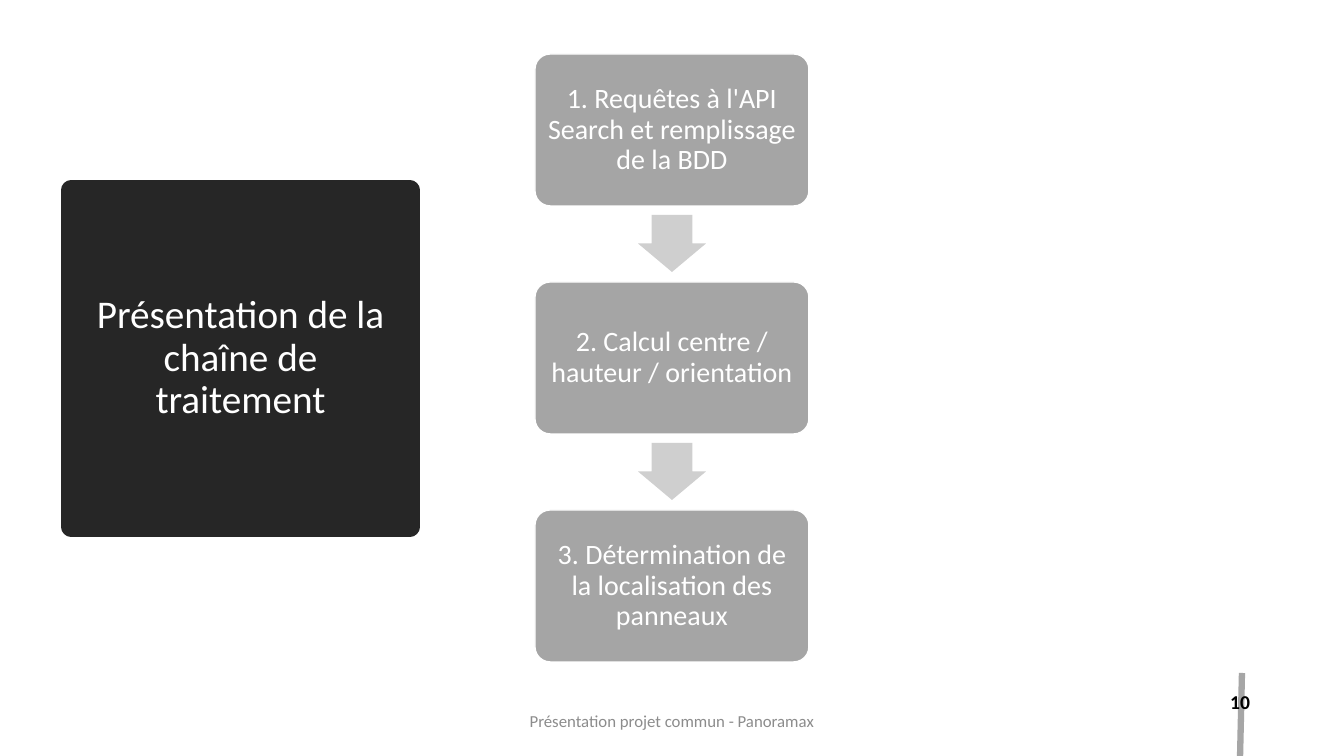
from dataclasses import dataclass

from lxml import etree
from pptx import Presentation
from pptx.dml.color import RGBColor
from pptx.enum.shapes import MSO_CONNECTOR, MSO_SHAPE
from pptx.enum.text import MSO_ANCHOR, MSO_AUTO_SIZE, PP_ALIGN
from pptx.oxml.ns import qn
from pptx.util import Emu, Pt

ROUNDED, DOWN_ARROW = MSO_SHAPE.ROUNDED_RECTANGLE, MSO_SHAPE.DOWN_ARROW
STRAIGHT = MSO_CONNECTOR.STRAIGHT
MIDDLE = MSO_ANCHOR.MIDDLE
NO_AUTOFIT = MSO_AUTO_SIZE.NONE
CENTER, RIGHT = PP_ALIGN.CENTER, PP_ALIGN.RIGHT

SLIDE_WIDTH, SLIDE_HEIGHT = 1344, 756
EMU_PER_PX = 12192000 / SLIDE_WIDTH
FONT = "Calibri"
WHITE, BLACK = "FFFFFF", "000000"
DARK, STEP_GREY, ARROW_GREY = "262626", "A5A5A5", "CFCFCF"
FOOTER_GREY, RULE_GREY = "8C8C8C", "A6A6A6"

STEPS = [
    "1. Requêtes à l'API Search et remplissage de la BDD",
    "2. Calcul centre / hauteur / orientation",
    "3. Détermination de la localisation des panneaux",
]
STEP_PITCH = 228


@dataclass(frozen=True)
class Box:
    left: int
    top: int
    width: int
    height: int

    def moved_down(self, distance: int) -> "Box":
        return Box(self.left, self.top + distance, self.width, self.height)

    def emu(self) -> tuple[Emu, Emu, Emu, Emu]:
        return px(self.left), px(self.top), px(self.width), px(self.height)


@dataclass(frozen=True)
class TextStyle:
    size: int
    color: str
    alignment: PP_ALIGN = CENTER
    bold: bool = False
    line_spacing: float = 1.0
    margin: int = 10


@dataclass(frozen=True)
class Label:
    text: str
    box: Box
    style: TextStyle


TITLE_BOX = Box(71, 190, 339, 337)
TITLE_STYLE = TextStyle(28, WHITE, line_spacing=0.9)
STEP_BOX = Box(535, 54, 274, 152)
STEP_STYLE = TextStyle(20, WHITE, line_spacing=0.9, margin=6)
ARROW_BOX = Box(638, 215, 68, 57)
LABELS = [
    Label("Présentation projet commun - Panoramax", Box(445, 701, 454, 40),
          TextStyle(12, FOOTER_GREY)),
    Label("10", Box(1076, 682, 184, 40), TextStyle(14, BLACK, RIGHT, bold=True)),
]


def px(length: int) -> Emu:
    return Emu(round(length * EMU_PER_PX))


def rgb(color: str) -> RGBColor:
    return RGBColor.from_string(color)


def paint(shape, fill: str, line: str | None = None, line_width: float = 1) -> None:
    shape.fill.solid()
    shape.fill.fore_color.rgb = rgb(fill)
    if line is None:
        shape.line.fill.background()
    else:
        shape.line.color.rgb = rgb(line)
        shape.line.width = Pt(line_width)


def write(shape, text: str, style: TextStyle) -> None:
    frame = shape.text_frame
    frame.text = text
    frame.word_wrap = True
    frame.auto_size = NO_AUTOFIT
    frame.vertical_anchor = MIDDLE
    frame.margin_left = frame.margin_right = px(style.margin)
    frame.margin_top = frame.margin_bottom = px(5)
    paragraph = frame.paragraphs[0]
    paragraph.alignment = style.alignment
    paragraph.line_spacing = style.line_spacing
    font = paragraph.font
    font.name, font.size, font.bold = FONT, Pt(style.size), style.bold
    font.color.rgb = rgb(style.color)


def add_title(slide, text: str) -> None:
    title = slide.shapes.title
    title.left, title.top, title.width, title.height = TITLE_BOX.emu()
    paint(title, DARK, DARK, 13.75)
    write(title, text, TITLE_STYLE)


def add_step(slide, text: str, box: Box) -> None:
    step = slide.shapes.add_shape(ROUNDED, *box.emu())
    step.shadow.inherit = False
    step.adjustments[0] = 0.1
    paint(step, STEP_GREY, WHITE)
    write(step, text, STEP_STYLE)


def add_arrow(slide, box: Box) -> None:
    arrow = slide.shapes.add_shape(DOWN_ARROW, *box.emu())
    arrow.shadow.inherit = False
    arrow.adjustments[0], arrow.adjustments[1] = 0.6, 0.5
    paint(arrow, ARROW_GREY)


def add_page_rule(slide) -> None:
    rule = slide.shapes.add_connector(STRAIGHT, px(1242), px(673), px(1240), px(759))
    rule.line.color.rgb = rgb(RULE_GREY)
    rule.line.width = Pt(4.5)
    etree.SubElement(rule._element.spPr, qn("a:effectLst"))


def main() -> None:
    presentation = Presentation()
    presentation.slide_width = px(SLIDE_WIDTH)
    presentation.slide_height = px(SLIDE_HEIGHT)
    slide = presentation.slides.add_slide(presentation.slide_layouts[5])

    add_title(slide, "Présentation de la chaîne de traitement")
    for index, text in enumerate(STEPS):
        offset = index * STEP_PITCH
        add_step(slide, text, STEP_BOX.moved_down(offset))
        if index < len(STEPS) - 1:
            add_arrow(slide, ARROW_BOX.moved_down(offset))
    add_page_rule(slide)
    for label in LABELS:
        write(slide.shapes.add_textbox(*label.box.emu()), label.text, label.style)

    presentation.save("out.pptx")


if __name__ == "__main__":
    main()
